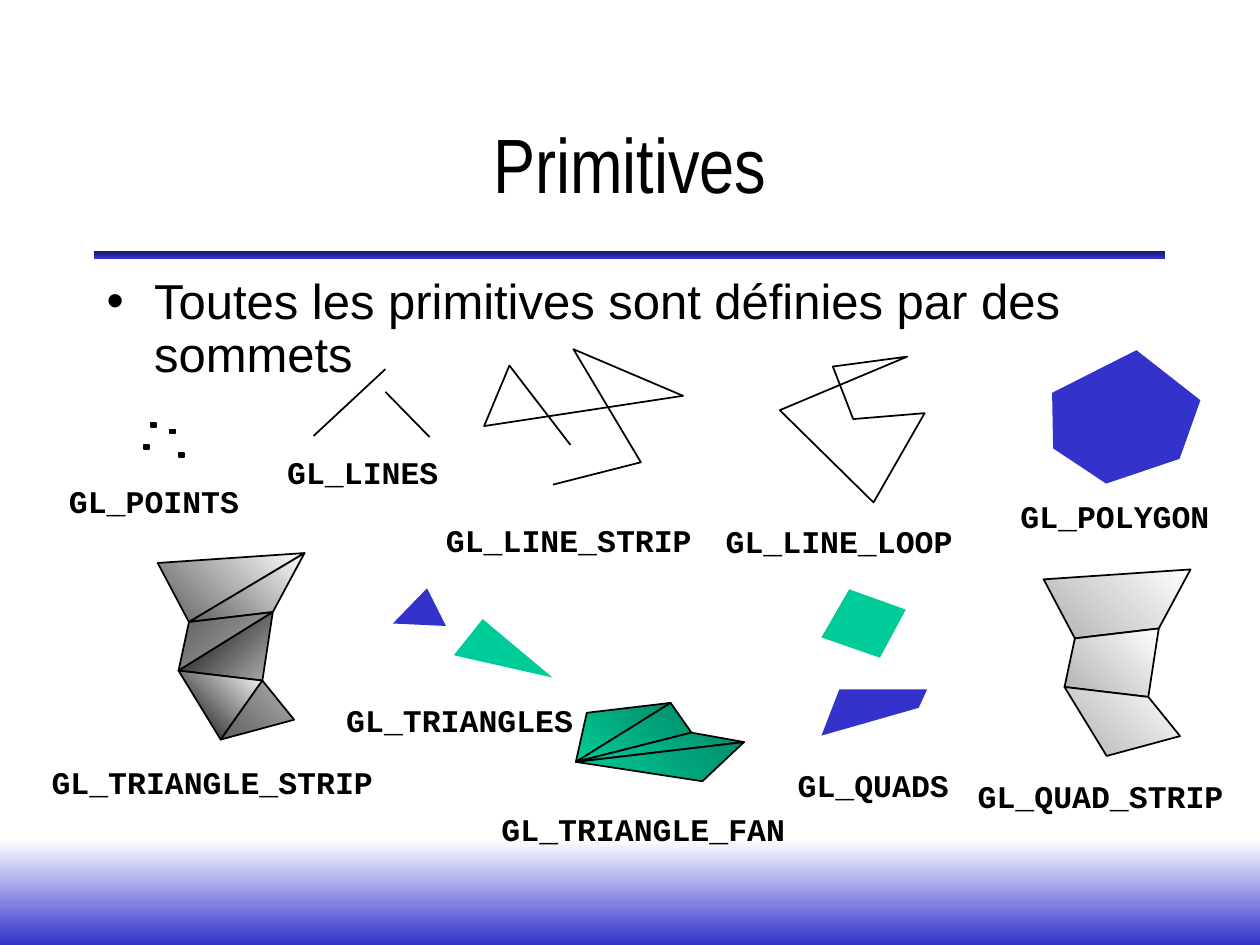
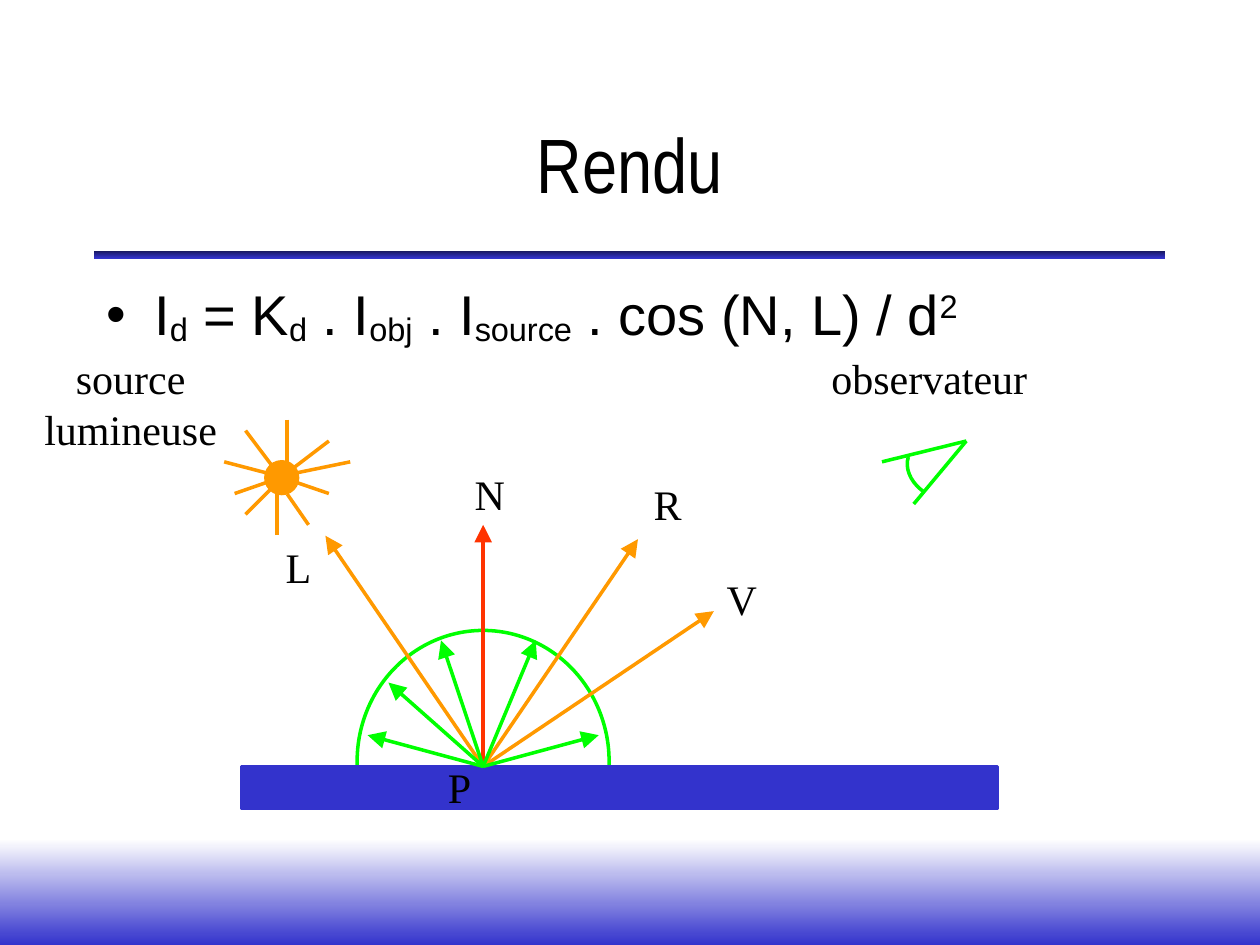
import pptx
import pptx.dml.color
import pptx.enum.shapes
import pptx.enum.text
import pptx.oxml
import pptx.oxml.ns
import pptx.util
import lxml.etree

Cm = pptx.util.Cm
RGBColor = pptx.dml.color.RGBColor
MSO_SHAPE = pptx.enum.shapes.MSO_SHAPE
ALIGN = pptx.enum.text.PP_ALIGN
ANCHOR = pptx.enum.text.MSO_ANCHOR
qn = pptx.oxml.ns.qn

# Colours
BLACK = RGBColor(0x00, 0x00, 0x00)
WHITE = RGBColor(0xFF, 0xFF, 0xFF)
BLUE = RGBColor(0x33, 0x33, 0xCC)
NAVY = RGBColor(0x17, 0x17, 0x5E)
TEAL = RGBColor(0x00, 0xCC, 0x99)
DARK_TEAL = RGBColor(0x00, 0x8D, 0x6A)
SILVER = RGBColor(0xB1, 0xB1, 0xB1)
GREY = RGBColor(0xAE, 0xAE, 0xAE)
DARK_GREY = RGBColor(0x5F, 0x5F, 0x5F)
ORANGE = RGBColor(0xFF, 0x99, 0x00)
RED = RGBColor(0xFF, 0x33, 0x00)
GREEN = RGBColor(0x00, 0xFF, 0x00)


def add_text(page, text, left, top, width, height, font="Times New Roman", size=24,
             bold=False, align=ALIGN.LEFT, anchor=ANCHOR.TOP, wrap=False,
             bullet=False, line_spacing=None, offsets=(0,)):
    """Newlines part paragraphs; bars part spans, raised by offsets in percent."""
    box = page.shapes.add_textbox(Cm(left), Cm(top), Cm(width), Cm(height))
    frame = box.text_frame
    frame.word_wrap = wrap
    if not wrap:
        frame.auto_size = pptx.enum.text.MSO_AUTO_SIZE.SHAPE_TO_FIT_TEXT
    frame.vertical_anchor = anchor
    for number, line in enumerate(text.split("\n")):
        para = frame.add_paragraph() if number else frame.paragraphs[0]
        para.alignment = align
        if bullet:
            properties = para._p.get_or_add_pPr()
            properties.set("marL", str(Cm(0.96)))
            properties.set("indent", str(Cm(-0.96)))
            bullet_font = lxml.etree.SubElement(properties, qn("a:buFont"))
            bullet_font.set("typeface", font)
            lxml.etree.SubElement(properties, qn("a:buChar")).set("char", "•")
        if line_spacing:
            para.line_spacing = line_spacing
        for piece, offset in zip(line.split("|"), offsets):
            span = para.add_run()
            span.text = piece
            span.font.name = font
            span.font.size = pptx.util.Pt(size)
            span.font.bold = bold
            span.font.color.rgb = BLACK
            if offset:
                span._r.get_or_add_rPr().set("baseline", str(offset * 1000))


def paint(shape, colours=(), angle=270, line=None, width=1):
    """No colour leaves the shape hollow, one fills it, two make a gradient."""
    shape.shadow.inherit = False
    if len(colours) == 2:
        shape.fill.gradient()
        shape.fill.gradient_angle = angle
        for stop, colour in zip(shape.fill.gradient_stops, colours):
            stop.color.rgb = colour
    elif colours:
        shape.fill.solid()
        shape.fill.fore_color.rgb = colours[0]
    else:
        shape.fill.background()
    if line is None:
        shape.line.fill.background()
    else:
        shape.line.color.rgb = line
        shape.line.width = pptx.util.Pt(width)


deck = pptx.Presentation()
deck.slide_width = Cm(25.4)
deck.slide_height = Cm(19.05)

# Shared frame: bottom band, rule and title
pages = []
for title in ("Primitives", "Rendu"):
    page = deck.slides.add_slide(deck.slide_layouts[6])
    for left, top, width, height, start in ((0, 16.92, 25.4, 2.13, WHITE),
                                            (1.9, 5.06, 21.59, 0.15, NAVY)):
        band = page.shapes.add_shape(MSO_SHAPE.RECTANGLE, Cm(left), Cm(top),
                                     Cm(width), Cm(height))
        paint(band, (start, BLUE))
    add_text(page, title, 1.9, 1.7, 21.6, 3.18, font="Arial Narrow", size=44,
             align=ALIGN.CENTER, anchor=ANCHOR.MIDDLE, wrap=True)
    pages.append(page)
primitives, rendering = pages

# Primitives: statement
add_text(primitives, "Toutes les primitives sont définies par des sommets",
         1.9, 5.46, 21.6, 2.44, font="Arial", size=28, wrap=True, bullet=True,
         line_spacing=0.9)

# Primitives: outlines as (vertices, closed, colours, gradient angle, line)
outlines = [
    # GL_POLYGON
    ([(21.21, 7.92), (22.91, 7.06), (24.2, 8.07), (23.78, 9.25), (22.3, 9.75),
      (21.23, 9.04)], True, (BLUE,), 0, None),
    # GL_LINE_LOOP
    ([(17.2, 8.45), (16.79, 7.39), (18.29, 7.19), (15.72, 8.27), (17.61, 10.13),
      (18.64, 8.33)], True, (), 0, BLACK),
    # GL_LINE_STRIP
    ([(11.5, 8.97), (10.27, 7.37), (9.76, 8.59), (13.77, 7.98), (11.56, 7.04),
      (12.92, 9.32), (11.15, 9.77)], False, (), 0, BLACK),
    # GL_TRIANGLES
    ([(8.61, 11.86), (7.92, 12.57), (8.99, 12.62)], True, (BLUE,), 0, None),
    ([(9.73, 12.48), (9.15, 13.21), (11.14, 13.66)], True, (TEAL,), 0, None),
    # GL_QUADS
    ([(16.56, 12.85), (17.12, 11.88), (18.26, 12.29), (17.74, 13.26)],
     True, (TEAL,), 0, None),
    ([(16.56, 14.83), (16.92, 13.9), (18.69, 13.9), (18.52, 14.27)],
     True, (BLUE,), 0, None),
]

# GL_TRIANGLE_STRIP: each vertex closes a triangle with the two before it
strip = [(3.18, 11.35), (6.14, 11.15), (3.81, 12.54), (5.5, 12.34),
         (3.6, 13.52), (5.29, 13.72), (4.45, 14.91), (5.93, 14.51)]
strip_shades = [((WHITE, DARK_GREY), 225), ((WHITE, DARK_GREY), 225),
                ((GREY, DARK_GREY), 135), ((SILVER, BLACK), 135),
                ((WHITE, BLACK), 225), ((GREY, DARK_GREY), 225)]
for first, (shades, angle) in enumerate(strip_shades):
    outlines.append((strip[first:first + 3], True, shades, angle, BLACK))

# GL_QUAD_STRIP: the same vertices, moved right and taken in pairs
moved = [(x + 17.86, y + 0.33) for x, y in strip]
for first in range(0, 6, 2):
    a, b, c, d = moved[first:first + 4]
    outlines.append(([a, b, d, c], True, (WHITE, SILVER), 225, BLACK))

# GL_TRIANGLE_FAN: every triangle shares the hub
hub = (11.61, 15.36)
rim = [(11.83, 14.37), (13.52, 14.17), (13.94, 14.77), (15, 14.96), (14.16, 15.75)]
for edge in zip(rim, rim[1:]):
    outlines.append(([hub, *edge], True, (DARK_TEAL, TEAL), 225, BLACK))

for vertices, closed, colours, angle, line in outlines:
    vertices = [(Cm(x), Cm(y)) for x, y in vertices]
    builder = primitives.shapes.build_freeform(*vertices[0])
    builder.add_line_segments(vertices[1:], close=closed)
    paint(builder.convert_to_shape(), colours, angle, line)

# GL_POINTS
for left, top in ((3.05, 8.53), (3.43, 8.66), (2.9, 8.97), (3.61, 9.14)):
    point = primitives.shapes.add_shape(MSO_SHAPE.RECTANGLE, Cm(left), Cm(top),
                                        Cm(0.1), Cm(0.08))
    paint(point, (BLACK,), line=BLACK)

# Primitives: labels, as wide as their number of letters
for name, left, top in (("GL_POINTS", 1.14, 9.6), ("GL_LINES", 5.54, 9.01),
                        ("GL_LINE_STRIP", 8.74, 10.38), ("GL_LINE_LOOP", 14.38, 10.39),
                        ("GL_POLYGON", 20.32, 9.89), ("GL_TRIANGLE_STRIP", 0.79, 15.25),
                        ("GL_TRIANGLES", 6.73, 14), ("GL_TRIANGLE_FAN", 9.86, 16.21),
                        ("GL_QUADS", 15.83, 15.32), ("GL_QUAD_STRIP", 19.46, 15.54)):
    add_text(primitives, name, left, top, 0.38 * len(name) + 0.55, 1.02,
             font="Courier New", size=18, bold=True)

# Rendering: formula
add_text(rendering, "I|d| = K|d| . I|obj| . I|source| . cos (N, L) / d|2",
         1.9, 5.51, 21.6, 11.43, font="Arial", size=32, wrap=True, bullet=True,
         offsets=(0, -10, 0, -10, 0, -10, 0, -10, 0, 30))

# Rendering: eye and hemisphere arcs (start and end in degrees), sun, surface
for left, top, width, height, turn, start, end in (
        (18.49, 8.61, 1.27, 1.7, 286.9, 209, 270),
        (7.2, 12.71, 5.08, 5.28, 0, 178, 2)):
    arc = rendering.shapes.add_shape(MSO_SHAPE.ARC, Cm(left), Cm(top),
                                     Cm(width), Cm(height))
    arc.rotation = turn
    arc.adjustments[0] = start * 0.6
    arc.adjustments[1] = end * 0.6
    paint(arc, line=GREEN, width=2)
sun = rendering.shapes.add_shape(MSO_SHAPE.OVAL, Cm(5.36), Cm(9.31), Cm(0.64), Cm(0.64))
paint(sun, (ORANGE,), line=ORANGE, width=2)
surface = rendering.shapes.add_shape(MSO_SHAPE.RECTANGLE, Cm(4.87), Cm(15.45),
                                     Cm(15.24), Cm(0.84))
paint(surface, (BLUE,), line=BLUE, width=2)

# Straight lines as (page, ends, colour, width, arrow)
lines = [(primitives, ends, BLACK, 1, False)
         for ends in ((6.32, 8.79, 7.77, 7.44), (7.77, 7.9, 8.66, 8.81))]
sun_rays = [(5.79, 8.46, 5.79, 9.32), (7.06, 9.31, 5.99, 9.53), (6.22, 10.58, 5.79, 9.96),
            (5.58, 10.79, 5.58, 9.96), (4.73, 9.95, 5.36, 9.73), (4.95, 8.68, 5.59, 9.53),
            (5.99, 9.73, 6.63, 9.95), (5.79, 9.53, 6.63, 8.89), (5.36, 9.53, 4.52, 9.31),
            (5.59, 9.73, 4.95, 10.37)]
lines += [(rendering, ends, ORANGE, 2, False) for ends in sun_rays]
lines += [(rendering, (19.48, 8.89, *lid), GREEN, 2, False)
          for lid in ((17.78, 9.31), (18.42, 10.16))]
surface_point = (9.74, 15.45)
for colour, tips in (
        (RED, [(9.74, 10.58)]),
        (ORANGE, [(6.56, 10.8), (12.86, 10.87), (14.39, 12.32)]),
        (GREEN, [(12.07, 14.82), (10.8, 12.91), (8.89, 12.91), (7.41, 14.82),
                 (7.83, 13.76)])):
    lines += [(rendering, (*surface_point, *tip), colour, 2, True) for tip in tips]

for page, ends, colour, width, arrow in lines:
    connector = page.shapes.add_connector(pptx.enum.shapes.MSO_CONNECTOR.STRAIGHT,
                                          *(Cm(value) for value in ends))
    connector.line.color.rgb = colour
    connector.line.width = pptx.util.Pt(width)
    if arrow:
        head = lxml.etree.SubElement(connector.line._get_or_add_ln(), qn("a:tailEnd"))
        for name, value in (("type", "triangle"), ("w", "lg"), ("len", "lg")):
            head.set(name, value)
    lxml.etree.SubElement(connector._element.spPr, qn("a:effectLst"))

# Rendering: labels
for name, left, top, width, height, align in (
        ("L", 5.51, 10.8, 1.02, 1.27, ALIGN.LEFT),
        ("N", 9.32, 9.32, 1.12, 1.27, ALIGN.LEFT),
        ("R", 12.92, 9.53, 1.07, 1.27, ALIGN.RIGHT),
        ("V", 14.4, 11.43, 1.12, 1.27, ALIGN.LEFT),
        ("P", 8.78, 15.23, 0.97, 1.27, ALIGN.LEFT),
        ("source\nlumineuse", 0.64, 6.99, 3.99, 2.29, ALIGN.CENTER),
        ("observateur", 16.51, 6.99, 4.45, 1.27, ALIGN.LEFT)):
    add_text(rendering, name, left, top, width, height, align=align)

deck.save("out.pptx")
